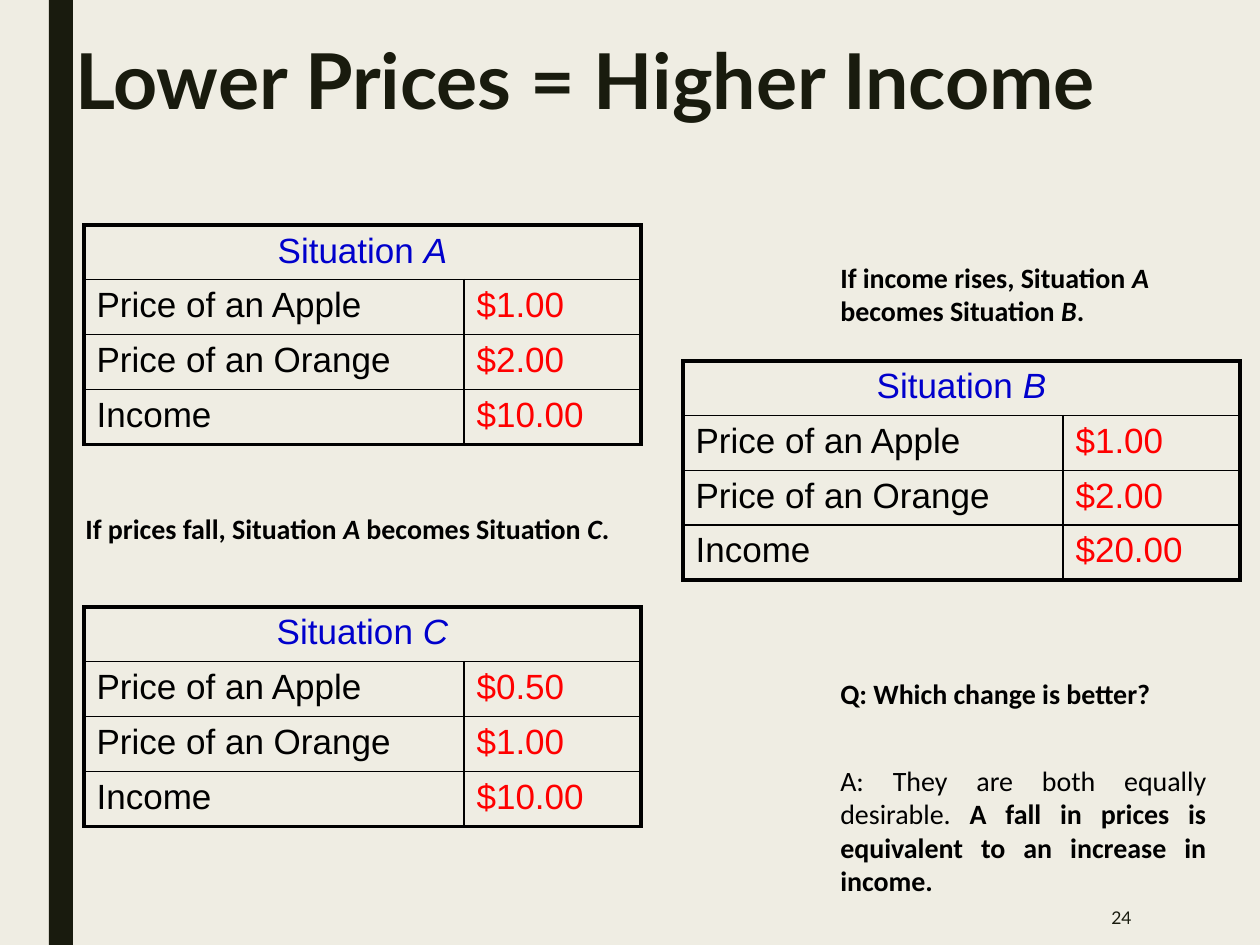
import pptx
import pptx.util
import pptx.dml.color
import pptx.enum.shapes
import pptx.enum.text
import pptx.oxml.ns
from lxml import etree

PX = 914400 / 126
DARK, BLACK, BLUE, RED = "191B0E", "000000", "0000CC", "FF0000"
ALIGN = pptx.enum.text.PP_ALIGN
ANCHOR = pptx.enum.text.MSO_ANCHOR


def paint(target, color):
    """Give a fill or a font a solid colour."""
    if hasattr(target, "solid"):
        target.solid()
        target.fore_color.rgb = pptx.dml.color.RGBColor.from_string(color)
    else:
        target.color.rgb = pptx.dml.color.RGBColor.from_string(color)


def write(frame, runs, font, size, color, align=ALIGN.LEFT):
    """Add runs of (text, style), where style holds b and i flags."""
    frame.word_wrap = True
    para = frame.paragraphs[0]
    para.alignment = align
    for text, style in runs:
        run = para.add_run()
        run.text = text
        run.font.name = font
        run.font.size = pptx.util.Pt(size)
        run.font.bold = "b" in style
        run.font.italic = "i" in style
        paint(run.font, color)
    return para


deck = pptx.Presentation()
deck.slide_width = round(1260 * PX)
deck.slide_height = round(945 * PX)
slide = deck.slides.add_slide(deck.slide_layouts[6])
paint(slide.background.fill, "EFEDE3")

# Side bar
bar = slide.shapes.add_shape(
    pptx.enum.shapes.MSO_SHAPE.RECTANGLE,
    *[round(n * PX) for n in (49, 0, 24, 945)])
bar.shadow.inherit = False
paint(bar.fill, DARK)
bar.line.fill.background()

# Title
box = slide.shapes.add_textbox(*[round(n * PX) for n in (63, 38, 1134, 158)])
title = write(box.text_frame, [("Lower Prices = Higher Income", "b")],
              "Lato", 44, DARK)
title.line_spacing = 0.89

# Situation tables: name, left, top, row heights, values
goods = ["Price of an Apple", "Price of an Orange", "Income"]
tables = [
    ("A", 84, 225, (54, 55, 54, 55), ("$1.00", "$2.00", "$10.00")),
    ("B", 683, 361, (52, 54, 54, 55), ("$1.00", "$2.00", "$20.00")),
    ("C", 84, 607, (54, 55, 54, 55), ("$0.50", "$1.00", "$10.00")),
]
wide = (380, 177)
for name, left, top, highs, costs in tables:
    grid = slide.shapes.add_table(
        4, 2, *[round(n * PX) for n in (left, top, sum(wide), sum(highs))]).table
    grid.first_row = grid.horz_banding = False
    for col, width in zip(grid.columns, wide):
        col.width = round(width * PX)
    for row, high in zip(grid.rows, highs):
        row.height = round(high * PX)
    grid.cell(0, 0).merge(grid.cell(0, 1))

    write(grid.cell(0, 0).text_frame, [("Situation ", ""), (name, "i")],
          "Arial", 20, BLUE, ALIGN.CENTER)
    for r, (good, cost) in enumerate(zip(goods, costs), 1):
        write(grid.cell(r, 0).text_frame, [(good, "")], "Arial", 20, BLACK)
        write(grid.cell(r, 1).text_frame, [(cost, "")], "Arial", 20, RED)

    # Thick outer frame, thin inner rules
    for r in range(4):
        for c in range(2):
            cell = grid.cell(r, c)
            props = cell._tc.get_or_add_tcPr()
            outer = {"lnL": c == 0, "lnR": c == 1 or r == 0,
                     "lnT": r == 0, "lnB": r == 3}
            for tag, thick in outer.items():
                line = etree.SubElement(props, pptx.oxml.ns.qn("a:" + tag))
                line.set("w", str(pptx.util.Pt(2.25 if thick else 1)))
                fill = etree.SubElement(line, pptx.oxml.ns.qn("a:solidFill"))
                tint = etree.SubElement(fill, pptx.oxml.ns.qn("a:srgbClr"))
                tint.set("val", BLACK)
            cell.fill.background()

# Slide number
box = slide.shapes.add_textbox(*[round(n * PX) for n in (979, 890, 165, 55)])
box.text_frame.vertical_anchor = ANCHOR.MIDDLE
write(box.text_frame, [("24", "")], "Lato", 10, DARK, ALIGN.RIGHT)

# Notes beside the tables
notes = [
    ((73, 505, 577, 47), ALIGN.LEFT,
     [("If prices fall, Situation ", "b"), ("A", "bi"),
      (" becomes Situation ", "b"), ("C", "bi"), (".", "b")]),
    ((828, 254, 391, 81), ALIGN.LEFT,
     [("If income rises, Situation ", "b"), ("A", "bi"),
      (" becomes Situation ", "b"), ("B", "bi"), (".", "b")]),
    ((828, 670, 391, 47), ALIGN.LEFT, [("Q: Which change is better?", "b")]),
    ((828, 757, 391, 147), ALIGN.JUSTIFY,
     [("A: They are both equally desirable. ", ""),
      ("A fall in prices is equivalent to an increase in income.", "b")]),
]
for place, align, runs in notes:
    box = slide.shapes.add_textbox(*[round(n * PX) for n in place])
    box.text_frame.auto_size = pptx.enum.text.MSO_AUTO_SIZE.SHAPE_TO_FIT_TEXT
    write(box.text_frame, runs, "Calibri", 16, BLACK, align)

deck.save("out.pptx")
